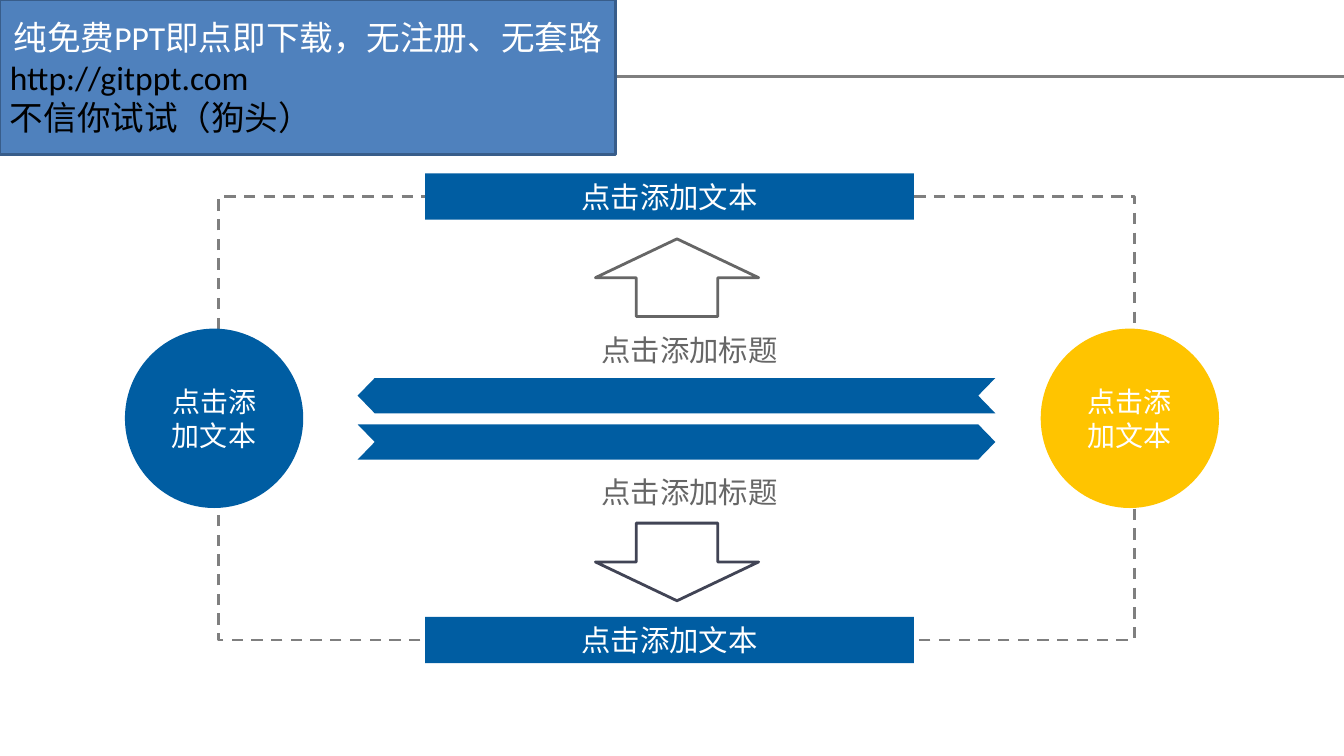
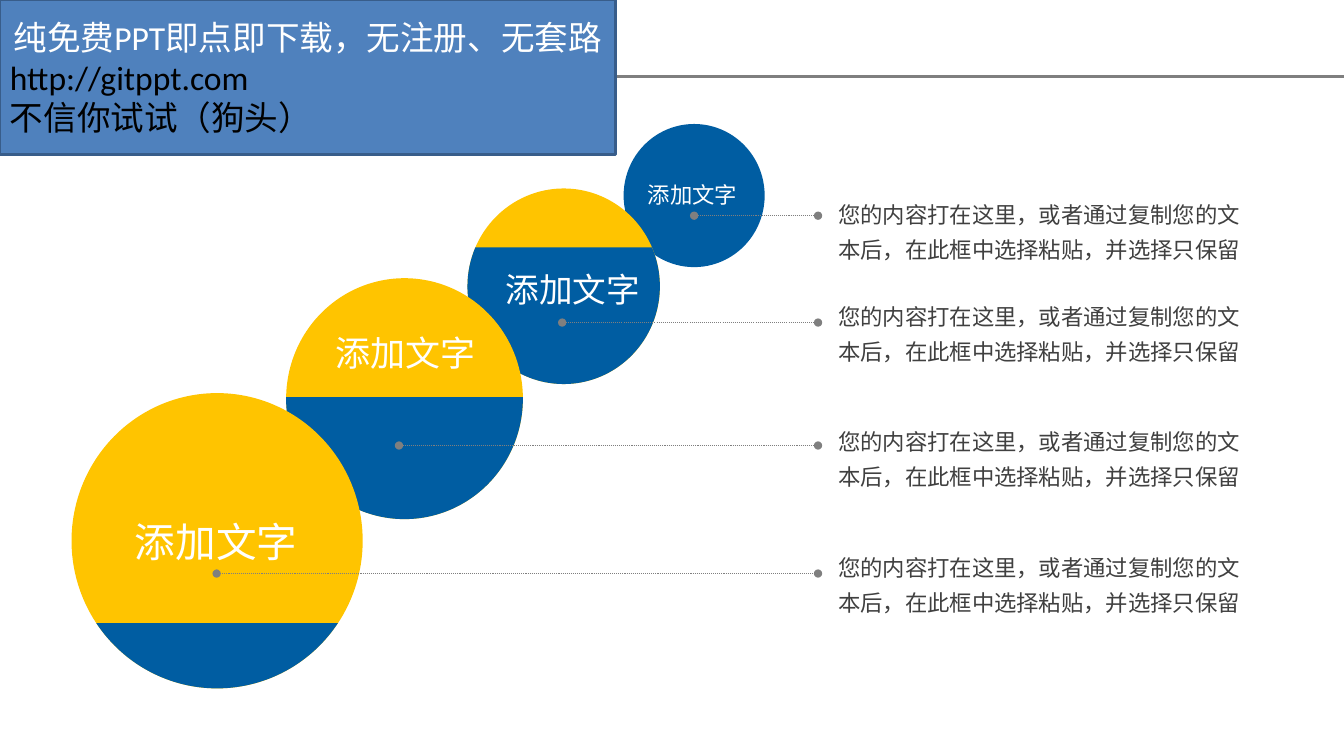
import math
from dataclasses import dataclass

from lxml import etree
from pptx import Presentation
from pptx import util as u
from pptx.dml.color import RGBColor
from pptx.enum import dml, shapes, text
from pptx.oxml.ns import qn

BLUE, YELLOW, WHITE, BLACK = "005DA2", "FFC400", "FFFFFF", "000000"
PANEL, PANEL_EDGE = "4F81BD", "385D8A"
GREY, LABEL_GREY, BODY_GREY, SLATE = "7F7F7F", "666666", "404040", "414455"
FONT, PANEL_FONT = "Noto Sans CJK SC", "Calibri"
PAGE_WIDTH, PAGE_HEIGHT = 13.34, 7.5
ADD_TEXT, ADD_TITLE, ADD_WORDS = "点击添加文本", "点击添加标题", "添加文字"
BODY = "您的内容打在这里，或者通过复制您的文本后，在此框中选择粘贴，并选择只保留"
PANEL_LINES = [
    ("纯免费PPT即点即下载，无注册、无套路", WHITE, True),
    ("http://gitppt.com", BLACK, False),
    ("不信你试试（狗头）", BLACK, False),
]

Kind = shapes.MSO_SHAPE
Point = tuple[float, float]


@dataclass(frozen=True)
class Frame:
    left: float
    top: float
    width: float
    height: float

    def lengths(self) -> list[u.Length]:
        return [u.Inches(v) for v in (self.left, self.top, self.width, self.height)]


@dataclass(frozen=True)
class Step:
    """A ball, the height its blue part starts at, its label and its note."""
    ball: Frame
    cut: float | None
    label: Frame
    size: int
    pointer: Point
    note_top: float


STEPS = [
    Step(Frame(6.19, 1.23, 1.4, 1.42), None, Frame(6.32, 1.75, 1.1, 0.37), 16, (6.89, 2.14), 1.87),
    Step(Frame(4.64, 1.87, 1.91, 1.94), 2.45, Frame(4.91, 2.61, 1.54, 0.51), 24, (5.58, 3.2), 2.88),
    Step(Frame(2.84, 2.76, 2.35, 2.39), 3.94, Frame(3.22, 3.24, 1.6, 0.52), 25, (3.96, 4.42), 4.12),
    Step(Frame(0.71, 3.9, 2.89, 2.93), 6.19, Frame(1.23, 5.07, 1.82, 0.59), 29, (2.15, 5.69), 5.37),
]


def colour(value: str) -> RGBColor:
    return RGBColor.from_string(value)


# Basic parts
def paint(shape, fill: str | None = None, line: str | None = None) -> None:
    shape.shadow.inherit = False
    if fill:
        shape.fill.solid()
        shape.fill.fore_color.rgb = colour(fill)
    else:
        shape.fill.background()
    if line:
        shape.line.color.rgb = colour(line)
        shape.line.width = u.Pt(2)
    else:
        shape.line.fill.background()


def write(para, words: str, size: int, tint: str, centred: bool = False,
          font: str = FONT) -> None:
    para.text = words
    para.alignment = text.PP_ALIGN.CENTER if centred else text.PP_ALIGN.LEFT
    para.font.size = u.Pt(size)
    para.font.color.rgb = colour(tint)
    para.font.name = font
    defaults = para._p.pPr.find(qn("a:defRPr"))
    etree.SubElement(defaults, qn("a:ea")).set("typeface", FONT)


def add_block(page, kind: Kind, frame: Frame, fill: str | None = None,
              line: str | None = None, words: str = "", size: int = 20):
    shape = page.shapes.add_shape(kind, *frame.lengths())
    paint(shape, fill, line)
    if words:
        shape.text_frame.word_wrap = True
        shape.text_frame.vertical_anchor = text.MSO_ANCHOR.MIDDLE
        write(shape.text_frame.paragraphs[0], words, size, WHITE, centred=True)
    return shape


def add_label(page, frame: Frame, words: str, size: int, tint: str,
              middle: bool = False, insets: Point = (0.1, 0.09)):
    box = page.shapes.add_textbox(*frame.lengths())
    body = box.text_frame
    body.word_wrap = False
    body.auto_size = text.MSO_AUTO_SIZE.SHAPE_TO_FIT_TEXT
    body.vertical_anchor = text.MSO_ANCHOR.MIDDLE if middle else text.MSO_ANCHOR.TOP
    body.margin_left, body.margin_right = (u.Inches(v) for v in insets)
    write(body.paragraphs[0], words, size, tint)
    return box


def add_outline(page, points: list[Point], fill: str) -> None:
    corners = [(u.Inches(x), u.Inches(y)) for x, y in points]
    builder = page.shapes.build_freeform(*corners[0])
    builder.add_line_segments(corners[1:], close=True)
    paint(builder.convert_to_shape(), fill)


def add_line(page, start: Point, end: Point, width: float, dotted: bool = False) -> None:
    line = page.shapes.add_connector(
        shapes.MSO_CONNECTOR.STRAIGHT, *(u.Inches(v) for v in (*start, *end)))
    line.line.color.rgb = colour(GREY)
    line.line.width = u.Pt(width)
    if dotted:
        line.line.dash_style = dml.MSO_LINE.ROUND_DOT
        stroke = line._element.spPr.find(qn("a:ln"))
        for tag in ("a:headEnd", "a:tailEnd"):
            etree.SubElement(stroke, qn(tag)).set("type", "oval")
    etree.SubElement(line._element.spPr, qn("a:effectLst"))


# Parts shared by both slides
def add_page(deck):
    page = deck.slides.add_slide(deck.slide_layouts[6])
    add_line(page, (1.71, 0.76), (PAGE_WIDTH, 0.76), 2)
    return page


def add_panel(page) -> None:
    panel = add_block(page, Kind.RECTANGLE, Frame(0, 0, 6.11, 1.53), PANEL, PANEL_EDGE)
    body = panel.text_frame
    body.word_wrap = True
    body.vertical_anchor = text.MSO_ANCHOR.MIDDLE
    for index, (words, tint, centred) in enumerate(PANEL_LINES):
        para = body.add_paragraph() if index else body.paragraphs[0]
        write(para, words, 24, tint, centred, PANEL_FONT)


# Slide 1: loop with opposing arrows
def add_ribbon(page, top: float, points_right: bool) -> None:
    left, right, height, notch = 3.55, 9.88, 0.35, 0.17
    middle, bottom = top + height / 2, top + height
    points = [(left, top), (right - notch, top), (right, middle),
              (right - notch, bottom), (left, bottom), (left + notch, middle)]
    if not points_right:
        points = [(left + right - x, y) for x, y in points]
    add_outline(page, points, BLUE)


def build_loop(deck) -> None:
    page = add_page(deck)
    loop = add_block(page, Kind.RECTANGLE, Frame(2.17, 1.95, 9.09, 4.4), line=GREY)
    loop.line.dash_style = dml.MSO_LINE.DASH
    for left, fill in ((1.24, BLUE), (10.33, YELLOW)):
        add_block(page, Kind.OVAL, Frame(left, 3.26, 1.77, 1.78), fill, words=ADD_TEXT)
    for top in (3.25, 4.65):
        add_label(page, Frame(5.87, top, 1.95, 0.45), ADD_TITLE, 21, LABEL_GREY)
    for kind, top, line in ((Kind.UP_ARROW, 2.37, LABEL_GREY), (Kind.DOWN_ARROW, 5.19, SLATE)):
        add_block(page, kind, Frame(5.91, top, 1.62, 0.77), line=line)
    for top in (6.12, 1.72):
        add_block(page, Kind.RECTANGLE, Frame(4.22, top, 4.85, 0.46), BLUE,
                  words=ADD_TEXT, size=21)
    add_ribbon(page, 4.21, points_right=True)
    add_ribbon(page, 3.75, points_right=False)
    add_panel(page)


# Slide 2: growing balls with notes
def add_lower_part(page, ball: Frame, cut: float) -> None:
    radius = ball.height / 2
    start = math.degrees(math.asin((cut - ball.top - radius) / radius))
    part = add_block(page, Kind.CHORD, ball, BLUE)
    # Adjustments count 100000 to one, angles 60000 to a degree
    for index, angle in enumerate((start, 180 - start)):
        part.adjustments[index] = angle % 360 * 0.6


def add_note(page, top: float) -> None:
    note = add_label(page, Frame(8.21, top, 4.42, 0.8), BODY, 16, BODY_GREY, insets=(0.11, 0.11))
    note.text_frame.word_wrap = True
    note.text_frame.paragraphs[0].line_spacing = 1.3


def build_steps(deck) -> None:
    page = add_page(deck)
    for step in STEPS:
        add_block(page, Kind.OVAL, step.ball, YELLOW if step.cut else BLUE)
        if step.cut:
            add_lower_part(page, step.ball, step.cut)
    for step in STEPS:
        add_label(page, step.label, ADD_WORDS, step.size, WHITE, middle=True,
                  insets=(0.11, 0.09))
        add_line(page, step.pointer, (8.12, step.pointer[1]), 0.75, dotted=True)
        add_note(page, step.note_top)
    add_panel(page)


def main() -> None:
    deck = Presentation()
    deck.slide_width, deck.slide_height = u.Inches(PAGE_WIDTH), u.Inches(PAGE_HEIGHT)
    build_loop(deck)
    build_steps(deck)
    deck.save("out.pptx")


if __name__ == "__main__":
    main()
